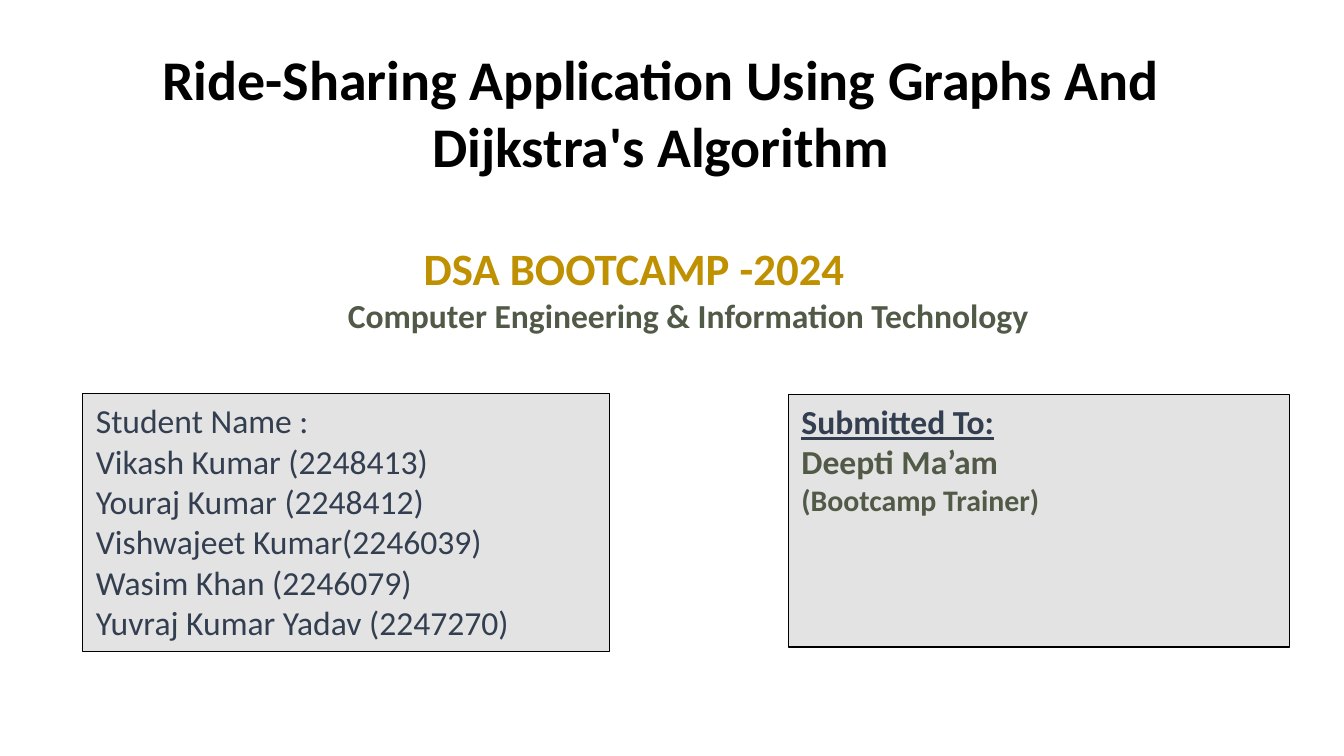
from dataclasses import dataclass

from lxml.etree import SubElement
from pptx import Presentation
from pptx.dml.color import RGBColor
from pptx.enum.shapes import MSO_SHAPE
from pptx.enum.text import MSO_ANCHOR, PP_ALIGN
from pptx.oxml.ns import qn
from pptx.util import Pt

EMU_PER_PX = 4572  # 200 px to the inch
SLIDE_WIDTH, SLIDE_HEIGHT = 2000, 1125
FONT = "Calibri"
BLACK, NAVY, OLIVE, GOLD, GREY = "000000", "333F50", "505A47", "BF9000", "C9C9C9"


@dataclass(frozen=True)
class Line:
    text: str
    size: int = 18
    color: str = NAVY
    bold: bool = True
    underline: bool = False
    indent: int = 0
    align: PP_ALIGN = PP_ALIGN.LEFT


@dataclass(frozen=True)
class Block:
    left: int
    top: int
    width: int
    height: int
    lines: tuple[Line, ...]
    anchor: MSO_ANCHOR = MSO_ANCHOR.TOP


def px(length: int) -> int:
    return length * EMU_PER_PX


def rgb(value: str) -> RGBColor:
    return RGBColor.from_string(value)


def write_lines(frame, block: Block) -> None:
    frame.word_wrap = True
    frame.vertical_anchor = block.anchor
    for index, line in enumerate(block.lines):
        paragraph = frame.paragraphs[0] if index == 0 else frame.add_paragraph()
        paragraph.text = line.text
        paragraph.alignment = line.align
        if line.indent:
            paragraph._p.get_or_add_pPr().set("marL", str(px(line.indent)))
        font = paragraph.font
        font.name = FONT
        font.size = Pt(line.size)
        font.bold = line.bold
        font.underline = line.underline
        font.color.rgb = rgb(line.color)


def bounds(block: Block) -> list[int]:
    return [px(n) for n in (block.left, block.top, block.width, block.height)]


def add_text(slide, block: Block) -> None:
    write_lines(slide.shapes.add_textbox(*bounds(block)).text_frame, block)


def add_panel(slide, block: Block) -> None:
    """Add an outlined, half-transparent grey box with text."""
    panel = slide.shapes.add_shape(MSO_SHAPE.RECTANGLE, *bounds(block))
    panel.shadow.inherit = False
    panel.fill.solid()
    panel.fill.fore_color.rgb = rgb(GREY)
    fill_color = panel._element.spPr.find(qn("a:solidFill")).find(qn("a:srgbClr"))
    SubElement(fill_color, qn("a:alpha")).set("val", "50000")
    panel.line.color.rgb = rgb(BLACK)
    panel.line.width = Pt(0.75)
    write_lines(panel.text_frame, block)


STUDENTS = (
    "Vikash Kumar (2248413)",
    "Youraj Kumar (2248412)",
    "Vishwajeet Kumar(2246039)",
    "Wasim Khan (2246079)",
    "Yuvraj Kumar Yadav (2247270)",
)

TITLE = Block(84, 57, 1800, 218, (
    Line("Ride-Sharing Application Using Graphs And Dijkstra's Algorithm",
         30, BLACK, align=PP_ALIGN.CENTER),
), MSO_ANCHOR.MIDDLE)

EVENT = Block(452, 349, 1440, 162, (
    Line("DSA BOOTCAMP -2024", 24, GOLD, indent=159),
    Line("Computer Engineering & Information Technology", color=OLIVE, indent=46),
))

STUDENT_PANEL = Block(123, 586, 784, 384, tuple(
    Line(text, bold=False) for text in ("Student Name :", *STUDENTS)
))

TRAINER_PANEL = Block(1173, 587, 746, 376, (
    Line("Submitted To:", underline=True),
    Line("Deepti Ma’am", color=OLIVE),
    Line("(Bootcamp Trainer)", 16, OLIVE),
))


def main() -> None:
    deck = Presentation()
    deck.slide_width, deck.slide_height = px(SLIDE_WIDTH), px(SLIDE_HEIGHT)
    slide = deck.slides.add_slide(deck.slide_layouts[6])
    add_text(slide, TITLE)
    for panel in (STUDENT_PANEL, TRAINER_PANEL):
        add_panel(slide, panel)
    add_text(slide, EVENT)
    deck.save("out.pptx")


if __name__ == "__main__":
    main()
